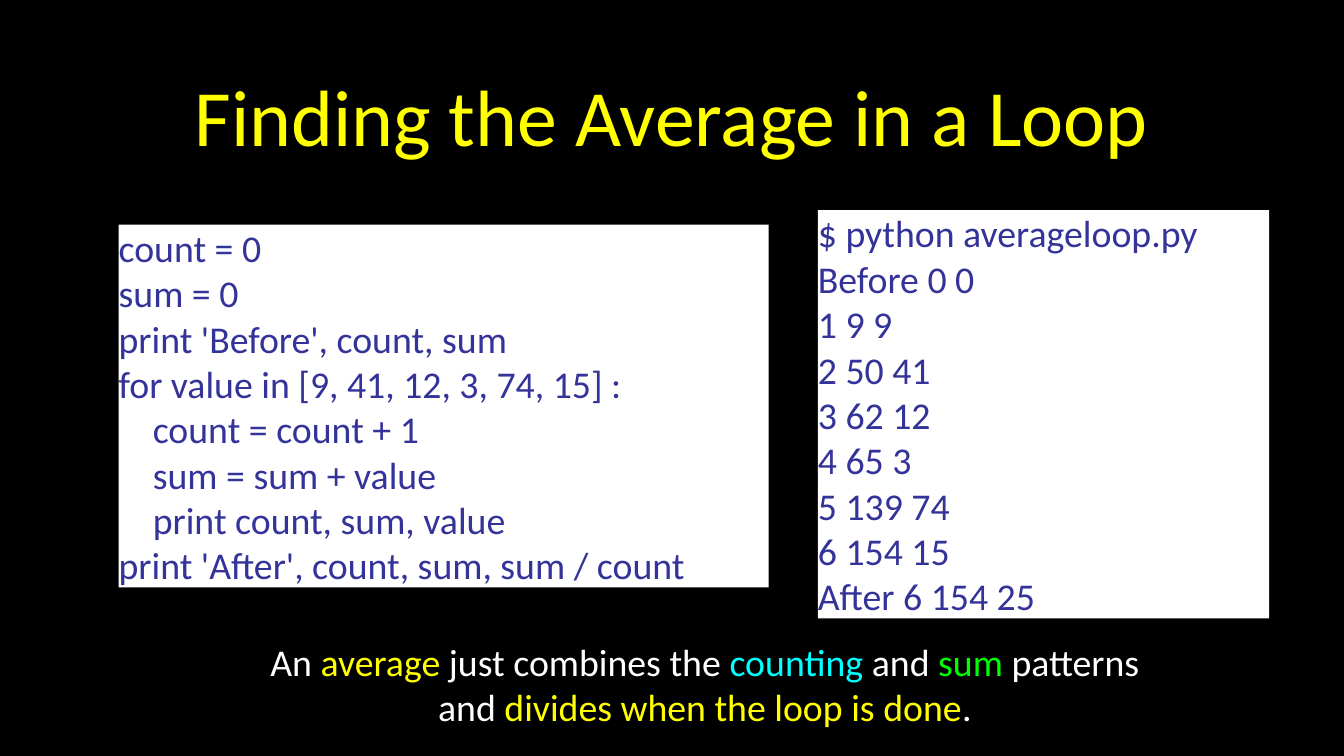
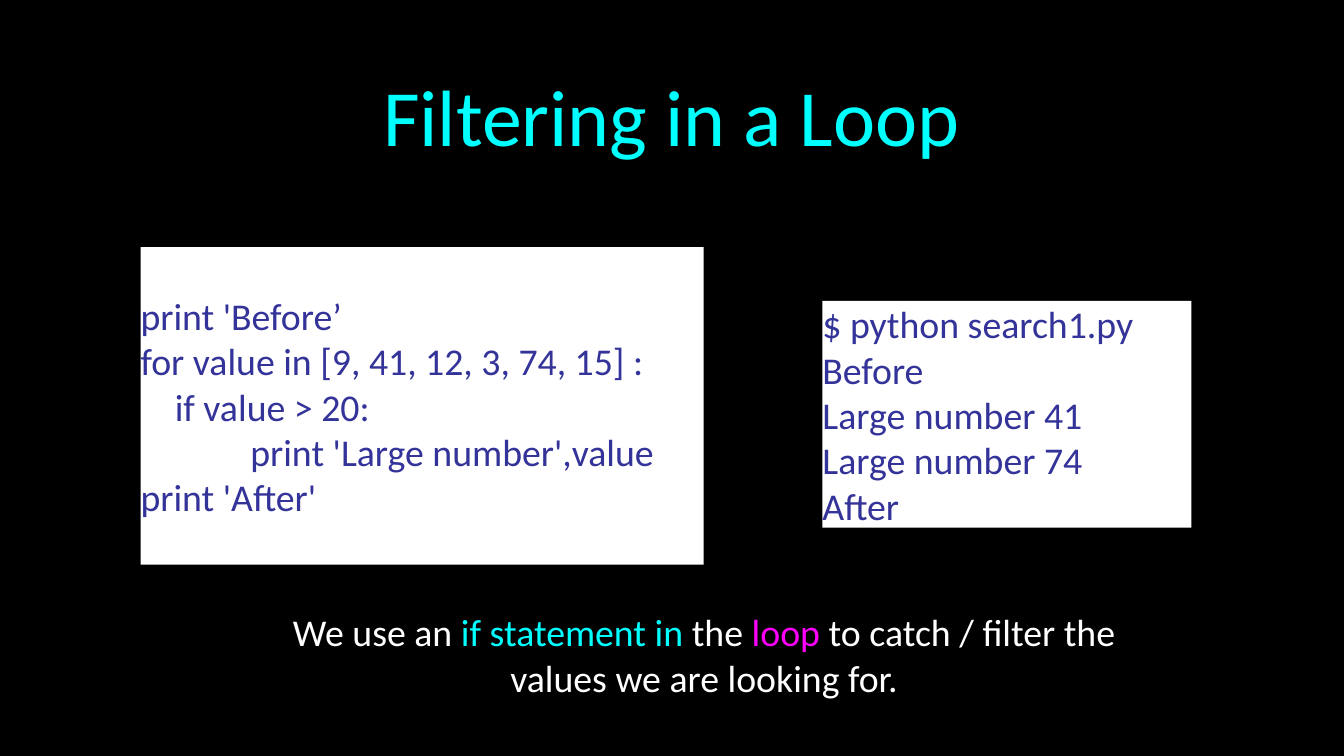
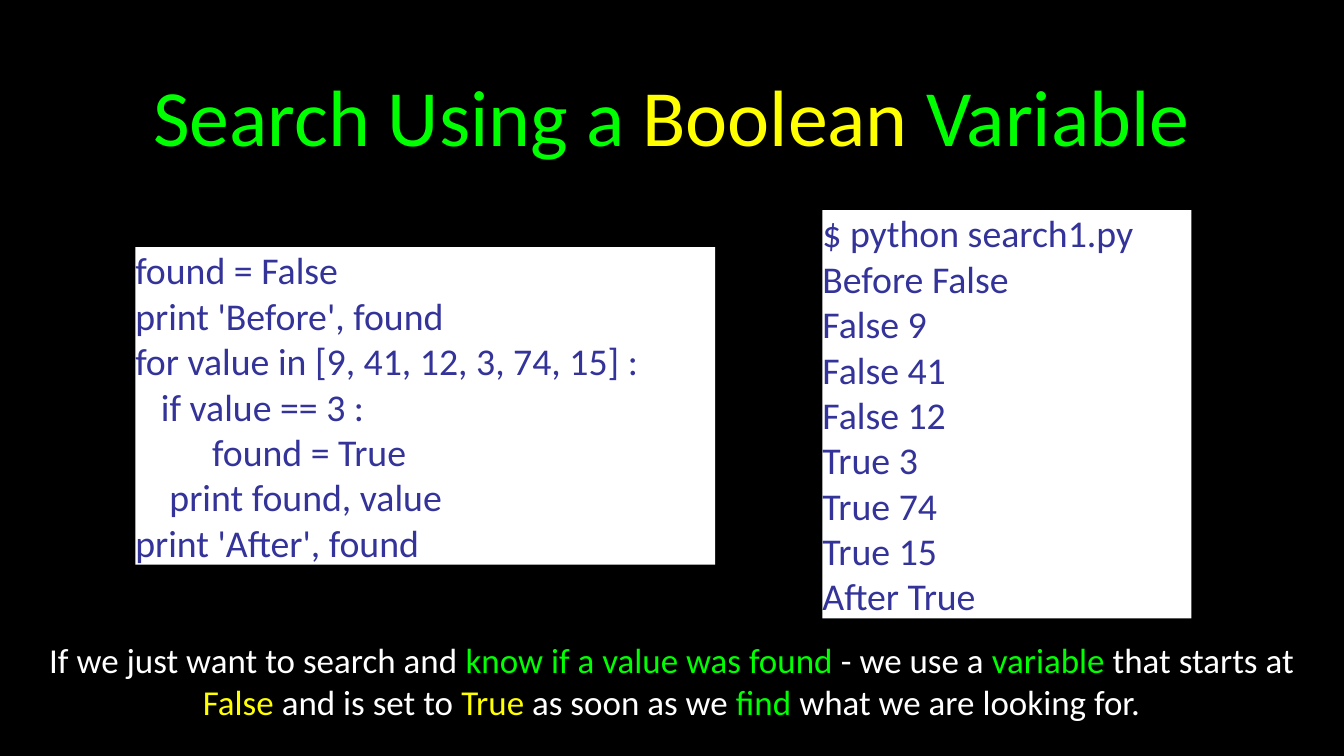
from lxml import etree
from pptx import Presentation
from pptx.dml.color import RGBColor
from pptx.enum.shapes import MSO_SHAPE
from pptx.enum.text import MSO_ANCHOR, MSO_AUTO_SIZE, PP_ALIGN
from pptx.oxml.ns import qn
from pptx.util import Pt

RECT = MSO_SHAPE.RECTANGLE
MIDDLE = MSO_ANCHOR.MIDDLE
GROW = MSO_AUTO_SIZE.SHAPE_TO_FIT_TEXT
LEFT, CENTER = PP_ALIGN.LEFT, PP_ALIGN.CENTER

HUES = {
    "black": "000000", "white": "FFFFFF", "navy": "333399",
    "yellow": "FFFF00", "cyan": "00FFFF", "green": "00FF00", "pink": "FF00FF",
}
FONT = "Calibri"
WIDE, HIGH = 1280.16, 720
TITLE = (90.72, 18.72, 1097.28, 180.72)
LINE = 43.2
CODE_MID, OUT_MID = 386.64, 394.56
NOTE_H = 90

SLIDES = [
    {
        "title": [("Finding the Average in a Loop", "yellow")],
        "code": {"left": 113.04, "width": 619.2, "lines": [
            "count = 0",
            "sum = 0",
            "print 'Before', count, sum",
            "for value in [9, 41, 12, 3, 74, 15] :",
            "    count = count + 1",
            "    sum = sum + value",
            "    print count, sum, value",
            "print 'After', count, sum, sum / count",
        ]},
        "out": {"left": 779.04, "width": 429.84, "lines": [
            "$ python averageloop.py",
            "Before 0 0",
            "1 9 9",
            "2 50 41",
            "3 62 12",
            "4 65 3",
            "5 139 74",
            "6 154 15",
            "After 6 154 25",
        ]},
        "note": {"left": 234.72, "top": 606.24, "width": 873.36, "size": 36, "parts": [
            ("An ", "white"), ("average", "yellow"),
            (" just combines the ", "white"), ("counting", "cyan"),
            (" and ", "white"), ("sum", "green"),
            (" patterns and ", "white"),
            ("divides when the loop is done", "yellow"), (".", "white"),
        ]},
    },
    {
        "title": [("Filtering in a Loop", "cyan")],
        "code": {"left": 133.92, "width": 536.4, "rows": 7, "wrap": True, "lines": [
            "print 'Before’",
            "for value in [9, 41, 12, 3, 74, 15] :",
            "    if value > 20:",
            " \t    print 'Large number',value",
            "print 'After'",
        ]},
        "out": {"left": 783.36, "width": 351.36, "lines": [
            "$ python search1.py",
            "Before",
            "Large number 41",
            "Large number 74",
            "After",
        ]},
        "note": {"left": 234, "top": 578.16, "width": 873.36, "size": 36, "parts": [
            ("We use an ", "white"), ("if statement in", "cyan"),
            (" the ", "white"), ("loop", "pink"),
            (" to catch / filter the values we are looking for.", "white"),
        ]},
    },
    {
        "title": [("Search Using a ", "green"), ("Boolean", "yellow"), (" Variable", "green")],
        "code": {"left": 128.88, "width": 552.24, "lines": [
            "found = False",
            "print 'Before', found",
            "for value in [9, 41, 12, 3, 74, 15] :",
            "   if value == 3 :",
            "         found = True",
            "    print found, value",
            "print 'After', found",
        ]},
        "out": {"left": 783.36, "width": 351.36, "lines": [
            "$ python search1.py",
            "Before False",
            "False 9",
            "False 41",
            "False 12",
            "True 3",
            "True 74",
            "True 15",
            "After True",
        ]},
        "note": {"left": 16.56, "top": 602.64, "width": 1246.32, "size": 33.3, "parts": [
            ("If we just want to search and ", "white"),
            ("know if a value was found", "green"),
            (" - we use a ", "white"), ("variable", "green"),
            (" that starts at ", "white"), ("False", "yellow"),
            (" and is set to ", "white"), ("True", "yellow"),
            (" as soon as we ", "white"), ("find", "green"),
            (" what we are looking for.", "white"),
        ]},
    },
]


def paint(fill, hue):
    fill.solid()
    fill.fore_color.rgb = RGBColor.from_string(HUES[hue])


def style(run, size, hue):
    run.font.name = FONT
    run.font.size = Pt(size)
    run.font.color.rgb = RGBColor.from_string(HUES[hue])


def set_frame(frame, pad=0, wrap=True):
    frame.word_wrap = wrap
    frame.vertical_anchor = MIDDLE
    frame.margin_left = frame.margin_right = Pt(pad)
    frame.margin_top = frame.margin_bottom = Pt(pad)


def add_tabs(para):
    stops = etree.SubElement(para._p.get_or_add_pPr(), qn("a:tabLst"))
    for inch in range(8):
        etree.SubElement(stops, qn("a:tab"), pos=str(Pt(72 * inch)), algn="l")


def add_text(slide, box, parts, size, pad=0):
    frame = slide.shapes.add_textbox(*map(Pt, box)).text_frame
    set_frame(frame, pad)
    para = frame.paragraphs[0]
    para.alignment = CENTER
    for text, hue in parts:
        run = para.add_run()
        run.text = text
        style(run, size, hue)


def add_panel(slide, data, mid):
    lines = data["lines"]
    high = LINE * data.get("rows", len(lines))
    box = (data["left"], mid - high / 2, data["width"], high)
    shape = slide.shapes.add_shape(RECT, *map(Pt, box))
    shape.shadow.inherit = False
    paint(shape.fill, "white")
    shape.line.fill.background()
    frame = shape.text_frame
    set_frame(frame, wrap=data.get("wrap", False))
    frame.auto_size = GROW
    frame.text = "\n".join(lines)
    for para in frame.paragraphs:
        para.alignment = LEFT
        add_tabs(para)
        for run in para.runs:
            style(run, 36, "navy")


def main():
    deck = Presentation()
    deck.slide_width, deck.slide_height = Pt(WIDE), Pt(HIGH)
    paint(deck.slide_master.background.fill, "black")
    for data in SLIDES:
        slide = deck.slides.add_slide(deck.slide_layouts[6])
        add_text(slide, TITLE, data["title"], 76, 2.88)
        add_panel(slide, data["code"], CODE_MID)
        add_panel(slide, data["out"], OUT_MID)
        note = data["note"]
        box = (note["left"], note["top"], note["width"], NOTE_H)
        add_text(slide, box, note["parts"], note["size"])
    deck.save("out.pptx")


if __name__ == "__main__":
    main()
